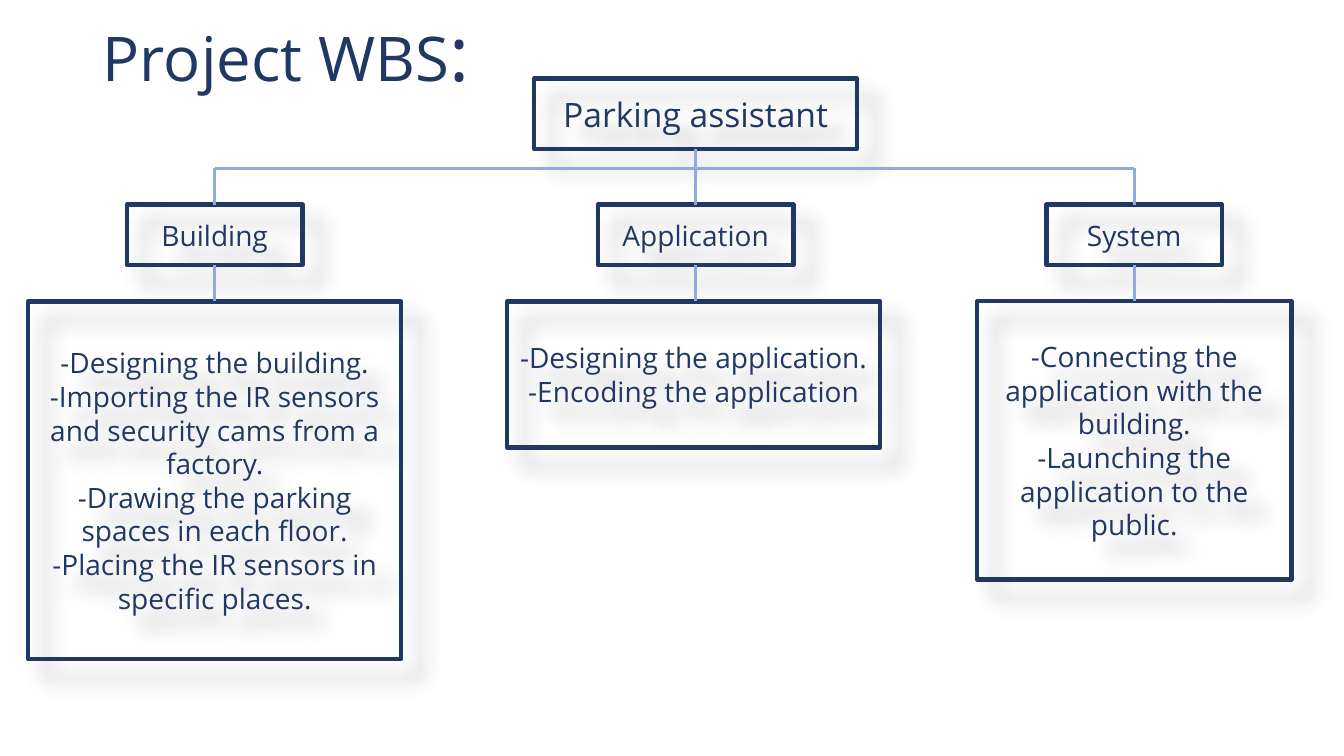
from lxml import etree
from pptx import Presentation
from pptx.dml.color import RGBColor
from pptx.enum.shapes import MSO_CONNECTOR, MSO_SHAPE
from pptx.enum.text import MSO_ANCHOR, MSO_AUTO_SIZE, PP_ALIGN
from pptx.oxml.ns import nsdecls
from pptx.oxml import parse_xml
from pptx.util import Inches, Pt

NAVY = RGBColor(0x20, 0x38, 0x64)
LIGHT_BLUE = RGBColor(0x8F, 0xAA, 0xDC)
FONT = "Open Sans"
SHADOW = (
    f'<a:effectLst {nsdecls("a")}>'
    '<a:outerShdw blurRad="190500" dist="228600" dir="2700000" algn="tl" rotWithShape="0">'
    '<a:srgbClr val="000000"><a:alpha val="30000"/></a:srgbClr>'
    '</a:outerShdw></a:effectLst>'
)

ROOT_BOX = (5.3, 0.78, 3.2, 0.7)
BUS_TOP = 1.67
HEAD_TOP, HEAD_HEIGHT = 2.03, 0.6
TASKS_TOP = 2.99

# centre, heading, heading width, task box (left, width, height), tasks
BRANCHES = [
    (2.13, "Building", 1.74, (0.28, 3.7, 3.55), [
        "-Designing the building.",
        "-Importing the IR sensors and security cams from a factory.",
        "-Drawing the parking spaces in each floor.",
        "-Placing the IR sensors in specific places.",
    ]),
    (6.9, "Application", 1.94, (5.03, 3.7, 1.45), [
        "-Designing the application.",
        "-Encoding the application",
    ]),
    (11.25, "System", 1.74, (9.69, 3.12, 2.76), [
        "-Connecting the application with the building.",
        "-Launching the application to the public.",
    ]),
]


def add_run(paragraph, text, size):
    """Append navy text to a paragraph."""
    run = paragraph.add_run()
    run.text = text
    run.font.name = FONT
    run.font.size = Pt(size)
    run.font.color.rgb = NAVY


def add_title(slide, box):
    """Fill the title placeholder and move it to the box."""
    title = slide.shapes.title
    title.left, title.top, title.width, title.height = map(Inches, box)
    frame = title.text_frame
    frame.auto_size = MSO_AUTO_SIZE.NONE
    frame.vertical_anchor = MSO_ANCHOR.MIDDLE
    paragraph = frame.paragraphs[0]
    paragraph.alignment = PP_ALIGN.LEFT
    paragraph.line_spacing = 0.9
    add_run(paragraph, "Project WBS", 44)
    add_run(paragraph, ":", 54)


def add_node(slide, box, lines, size=20):
    """Draw an outlined, shadowed box with centred lines of text."""
    node = slide.shapes.add_shape(MSO_SHAPE.RECTANGLE, *map(Inches, box))
    node.fill.background()
    node.line.color.rgb = NAVY
    node.line.width = Pt(3)
    node._element.spPr.append(parse_xml(SHADOW))
    frame = node.text_frame
    frame.word_wrap = True
    frame.vertical_anchor = MSO_ANCHOR.MIDDLE
    for i, line in enumerate(lines):
        paragraph = frame.add_paragraph() if i else frame.paragraphs[0]
        paragraph.alignment = PP_ALIGN.CENTER
        add_run(paragraph, line, size)


def add_link(slide, x1, y1, x2, y2):
    """Draw a plain light blue line between two points."""
    link = slide.shapes.add_connector(
        MSO_CONNECTOR.STRAIGHT, *map(Inches, (x1, y1, x2, y2)))
    link.line.color.rgb = LIGHT_BLUE
    link.line.width = Pt(2.25)
    etree.SubElement(link._element.spPr, "{%s}effectLst" % link._element.nsmap["a"])


def add_branch(slide, centre, heading, head_width, task_box, tasks, link_top):
    """Draw one column: its heading, its tasks and the lines above each."""
    left, width, height = task_box
    add_node(slide, (centre - head_width / 2, HEAD_TOP, head_width, HEAD_HEIGHT), [heading])
    add_node(slide, (left, TASKS_TOP, width, height), tasks)
    add_link(slide, centre, link_top, centre, HEAD_TOP)
    add_link(slide, centre, HEAD_TOP + HEAD_HEIGHT, centre, TASKS_TOP)


def add_breakdown(slide, root_box):
    """Draw the root box, the horizontal line and every branch."""
    left, top, width, height = root_box
    root_centre = left + width / 2
    add_node(slide, root_box, ["Parking assistant"], 24)
    for branch in BRANCHES:
        under_root = abs(branch[0] - root_centre) < 0.01
        add_branch(slide, *branch, link_top=top + height if under_root else BUS_TOP)
    add_link(slide, BRANCHES[0][0], BUS_TOP, BRANCHES[-1][0], BUS_TOP)


def main():
    """Build and save the slide."""
    prs = Presentation()
    prs.slide_width, prs.slide_height = Inches(13.33), Inches(7.5)
    slide = prs.slides.add_slide(prs.slide_layouts[5])
    add_title(slide, (0.92, -0.16, 11.5, 1.45))
    add_breakdown(slide, ROOT_BOX)
    prs.save("out.pptx")


main()
